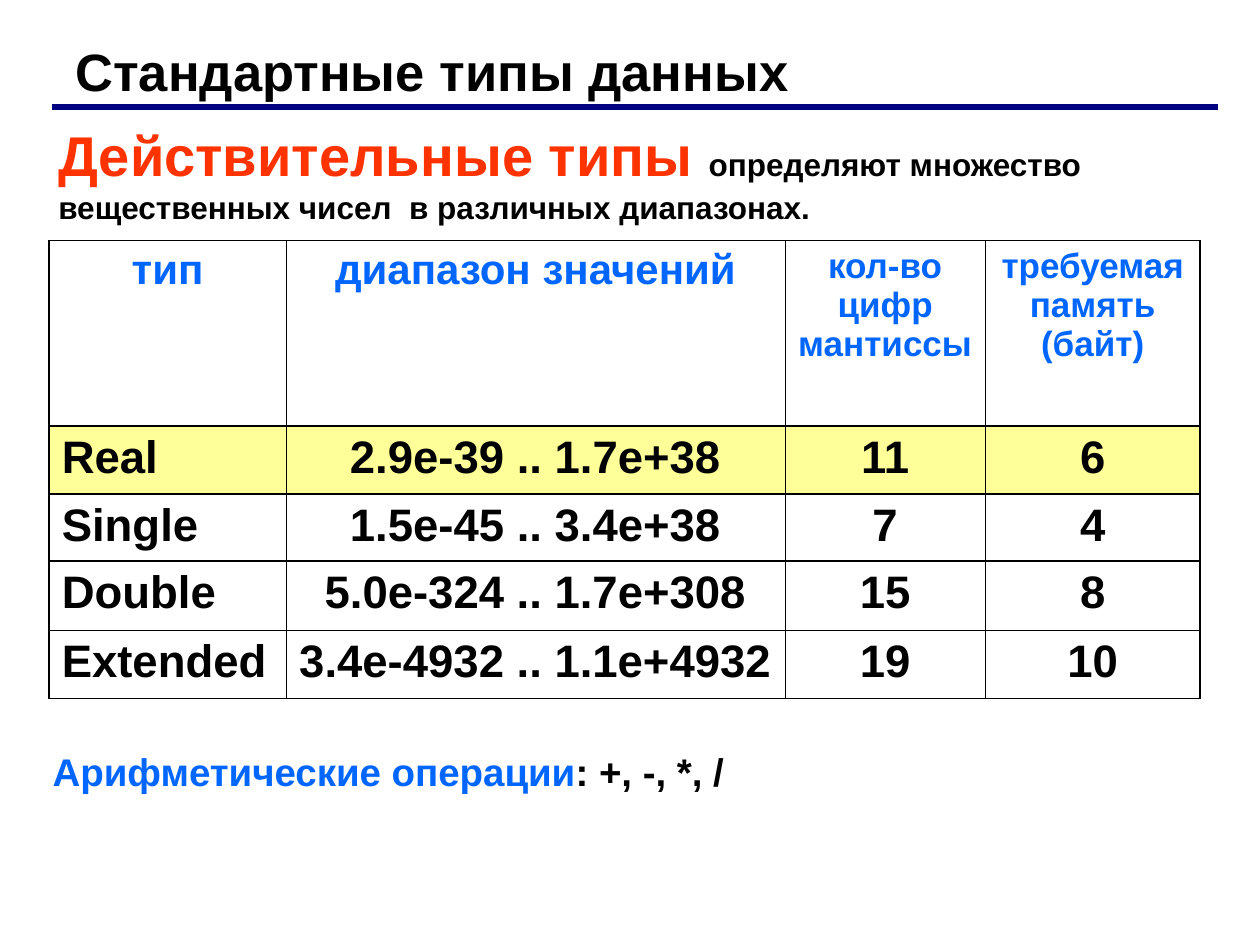
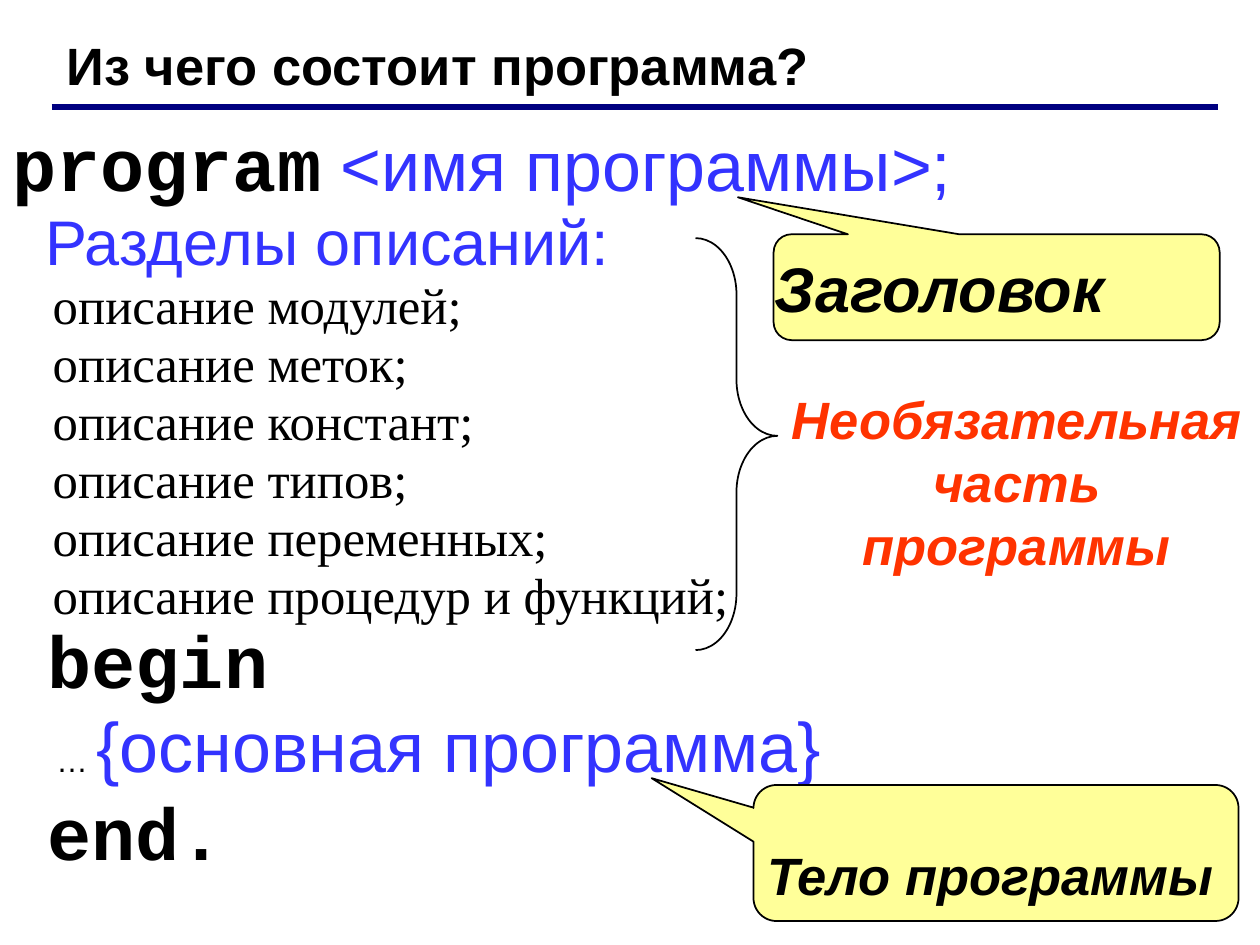
from dataclasses import dataclass
from typing import Any

import pptx
import pptx.dml.color
import pptx.enum.shapes
import pptx.enum.text
import pptx.oxml
import pptx.oxml.ns
import pptx.util
from lxml import etree

Pt = pptx.util.Pt
Kind = pptx.enum.shapes.MSO_SHAPE
Align = pptx.enum.text.PP_ALIGN
Anchor = pptx.enum.text.MSO_ANCHOR

# Grid of 100 columns by 75 rows
WIDE, HIGH = pptx.util.Inches(10), pptx.util.Inches(7.5)
COLS, ROWS = 100, 75

HUES = {
    "black": "000000", "navy": "000080", "red": "FF3300",
    "blue": "0066FF", "code": "3333FF", "yellow": "FFFF99",
}
SANS, MONO, SERIF = "Arial", "Courier New", "Times New Roman"


@dataclass
class Run:
    text: str
    size: float
    hue: str = "black"
    bold: bool = True
    slant: bool = False
    font: str = SANS


@dataclass
class Para:
    runs: list[Run]
    pitch: float = 1.0
    align: Any = Align.LEFT


@dataclass
class Box:
    left: float
    top: float
    width: float
    height: float

    def place(self) -> tuple[int, int, int, int]:
        return (across(self.left), down(self.top),
                across(self.width), down(self.height))


@dataclass
class Text:
    box: Box
    paras: list[Para]
    anchor: Any = Anchor.TOP

    def draw(self, slide: Any) -> None:
        frame = slide.shapes.add_textbox(*self.box.place()).text_frame
        frame.word_wrap = True
        frame.vertical_anchor = self.anchor
        write(frame, self.paras)


@dataclass
class Shape:
    kind: Any
    box: Box
    bends: list[float]
    fill: str = ""

    def draw(self, slide: Any) -> None:
        shape = slide.shapes.add_shape(self.kind, *self.box.place())
        shape.shadow.inherit = False
        for num, bend in enumerate(self.bends):
            shape.adjustments[num] = bend
        shape.line.color.rgb = paint("black")
        shape.line.width = Pt(1)
        if self.fill:
            shape.fill.solid()
            shape.fill.fore_color.rgb = paint(self.fill)
        else:
            shape.fill.background()


def across(cols: float) -> int:
    return round(WIDE * cols / COLS)


def down(rows: float) -> int:
    return round(HIGH * rows / ROWS)


def paint(name: str) -> pptx.dml.color.RGBColor:
    return pptx.dml.color.RGBColor.from_string(HUES[name])


def write(frame: Any, paras: list[Para]) -> None:
    for num, item in enumerate(paras):
        para = frame.add_paragraph() if num else frame.paragraphs[0]
        para.alignment = item.align
        para.line_spacing = item.pitch
        for part in item.runs:
            run = para.add_run()
            run.text = part.text
            font = run.font
            font.name, font.size = part.font, Pt(part.size)
            font.bold, font.italic = part.bold, part.slant
            font.color.rgb = paint(part.hue)


def put_head(deck: Any, title: str, left: float, top: float) -> Any:
    """Add a blank slide with its title and the rule under it."""
    slide = deck.slides.add_slide(deck.slide_layouts[6])
    Text(Box(left, top, 89, 6), [Para([Run(title, 30)])]).draw(slide)
    rule = slide.shapes.add_connector(
        pptx.enum.shapes.MSO_CONNECTOR.STRAIGHT,
        across(4.1), down(8.5), across(96.7), down(8.5))
    rule.line.color.rgb = paint("navy")
    rule.line.width = Pt(3)
    props = rule.element.find(pptx.oxml.ns.qn("p:spPr"))
    etree.SubElement(props, pptx.oxml.ns.qn("a:effectLst"))
    return slide


def edge(cell: Any, side: str, width: float) -> None:
    props = cell._tc.get_or_add_tcPr()
    props.append(pptx.oxml.parse_xml(
        f'<a:ln{side} {pptx.oxml.ns.nsdecls("a")} w="{Pt(width)}"><a:solidFill>'
        f'<a:srgbClr val="{HUES["black"]}"/></a:solidFill></a:ln{side}>'))


# Table of real types
HEAD = [("тип", 24), ("диапазон значений", 24),
        ("кол-во цифр мантиссы", 20), ("требуемая память (байт)", 20)]
TYPES = [
    ("Real", "2.9e-39 .. 1.7e+38", "11", "6"),
    ("Single", "1.5e-45 .. 3.4e+38", "7", "4"),
    ("Double", "5.0e-324 .. 1.7e+308", "15", "8"),
    ("Extended", "3.4e-4932 .. 1.1e+4932", "19", "10"),
]
SPANS = [18.8, 39.6, 15.9, 17.05]
STEPS = [14.7, 5.4, 5.35, 5.5, 5.4]
THICK, THIN = 1.08, 0.45


def put_table(slide: Any) -> None:
    box = Box(3.9, 19.1, sum(SPANS), sum(STEPS))
    table = slide.shapes.add_table(len(STEPS), len(SPANS), *box.place()).table
    table.first_row = table.horz_banding = False
    for col, span in zip(table.columns, SPANS):
        col.width = across(span)
    for row, step in zip(table.rows, STEPS):
        row.height = down(step)
    body = [[Run(text, 26) for text in line] for line in TYPES]
    lines = [[Run(text, size, "blue") for text, size in HEAD]] + body
    last = len(SPANS) - 1
    for y, line in enumerate(lines):
        for x, run in enumerate(line):
            cell = table.cell(y, x)
            widths = {"L": THIN if x else THICK,
                      "R": THIN if x < last else THICK,
                      "T": THICK, "B": THICK}
            for side, width in widths.items():
                edge(cell, side, width)
            if y == 1:
                cell.fill.solid()
                cell.fill.fore_color.rgb = paint("yellow")
            else:
                cell.fill.background()
            align = Align.LEFT if y and not x else Align.CENTER
            write(cell.text_frame, [Para([run], align=align)])


def make_types(deck: Any) -> None:
    slide = put_head(deck, "Стандартные типы данных", 5, 2.6)
    Text(Box(3.65, 9.1, 89.3, 9), [Para([
        Run("Действительные типы ", 32, "red"),
        Run("определяют множество вещественных чисел  в различных "
            "диапазонах.", 18)])]).draw(slide)
    put_table(slide)
    Text(Box(3.2, 58.9, 96.8, 4.7), [Para([
        Run("Арифметические операции", 22, "blue"),
        Run(": +, -, *, /", 22)])]).draw(slide)


# Parts of a program
PARTS = ["модулей", "меток", "констант", "типов", "переменных",
         "процедур и функций"]


def make_parts(deck: Any) -> None:
    slide = put_head(deck, "Из чего состоит программа?", 4.3, 2.1)

    def code(text: str) -> Run:
        return Run(text, 42, font=MONO)

    def hint(text: str, size: float = 40) -> Run:
        return Run(text, size, "code", bold=False)

    def note(text: str, size: float, hue: str = "black") -> Run:
        return Run(text, size, hue, slant=True)

    callout = Kind.ROUNDED_RECTANGULAR_CALLOUT
    items = [
        # Program text
        Text(Box(2.6, 16.75, 52.3, 7),
             [Para([hint("Разделы описаний:", 36)], 0.8)]),
        Text(Box(0, 8.9, 80, 8),
             [Para([code("program"), hint(" <имя программы>;")])]),
        Text(Box(2.8, 48.3, 64.4, 21.7), [
            Para([code("begin")]),
            Para([Run(" … ", 18, bold=False), hint("{основная программа}")]),
            Para([code("end.")])]),
        # Callouts
        Shape(callout, Box(61.4, 18.6, 35.4, 8.4),
              [-0.58, -0.85, 0.17], "yellow"),
        Text(Box(60.5, 19.3, 33.6, 7),
             [Para([note("Заголовок", 36)])], Anchor.MIDDLE),
        Shape(callout, Box(59.8, 62.3, 38.5, 10.8),
              [-0.71, -0.55, 0.17], "yellow"),
        Text(Box(59.9, 66.4, 39.9, 6), [Para([note("Тело программы", 30)])]),
        # Optional part
        Text(Box(3.2, 21.6, 64.8, 28.6),
             [Para([Run(f"описание {part};", 29, bold=False, font=SERIF)], 0.95)
              for part in PARTS]),
        Shape(Kind.RIGHT_BRACE, Box(55.2, 18.9, 6.5, 32.7), [0.69, 0.48]),
        Text(Box(61.4, 30.2, 38.6, 16),
             [Para([note("Необязательная часть программы", 30, "red")],
                   align=Align.CENTER)]),
    ]
    for item in items:
        item.draw(slide)


def main() -> None:
    deck = pptx.Presentation()
    deck.slide_width, deck.slide_height = WIDE, HIGH
    make_types(deck)
    make_parts(deck)
    deck.save("out.pptx")


if __name__ == "__main__":
    main()
